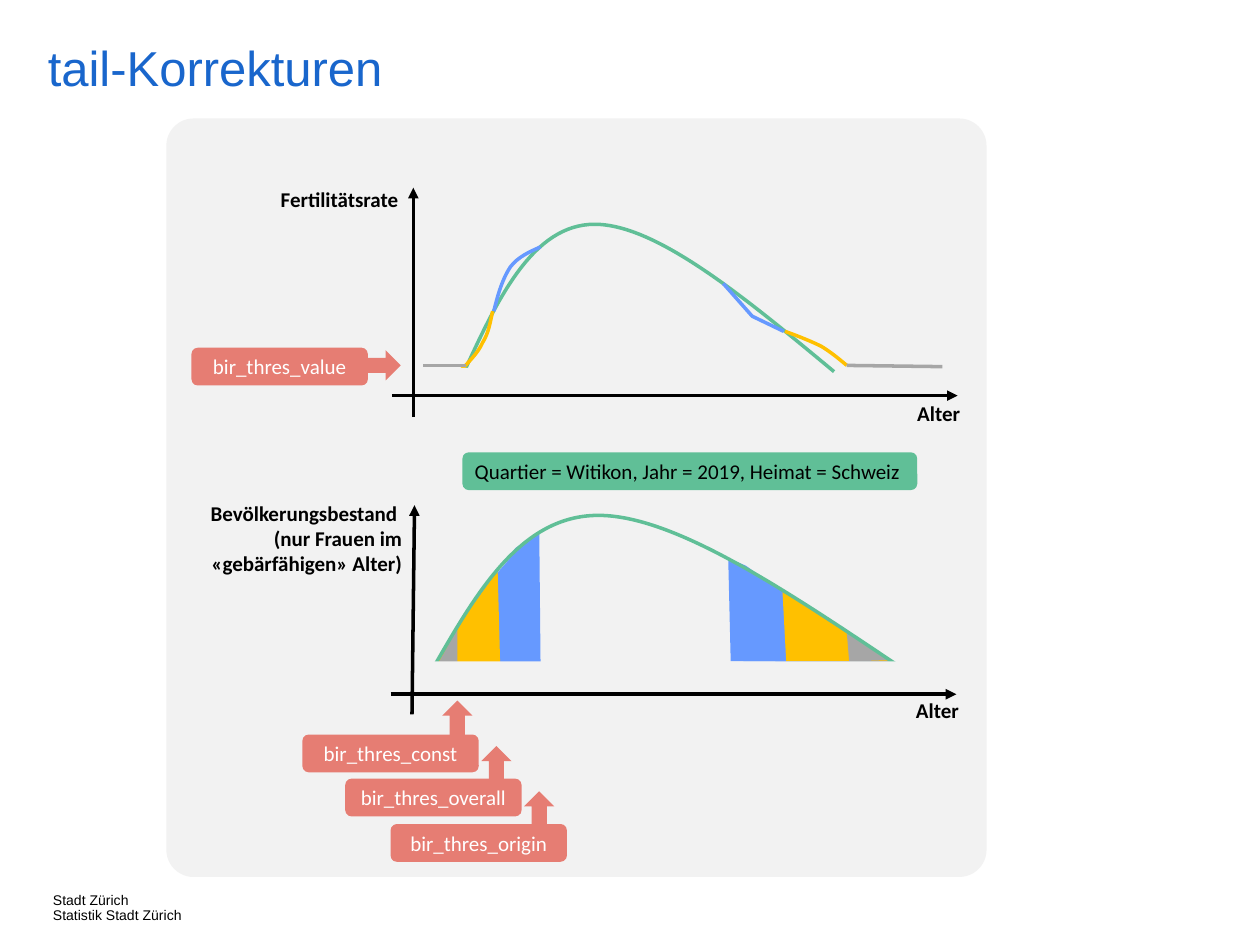
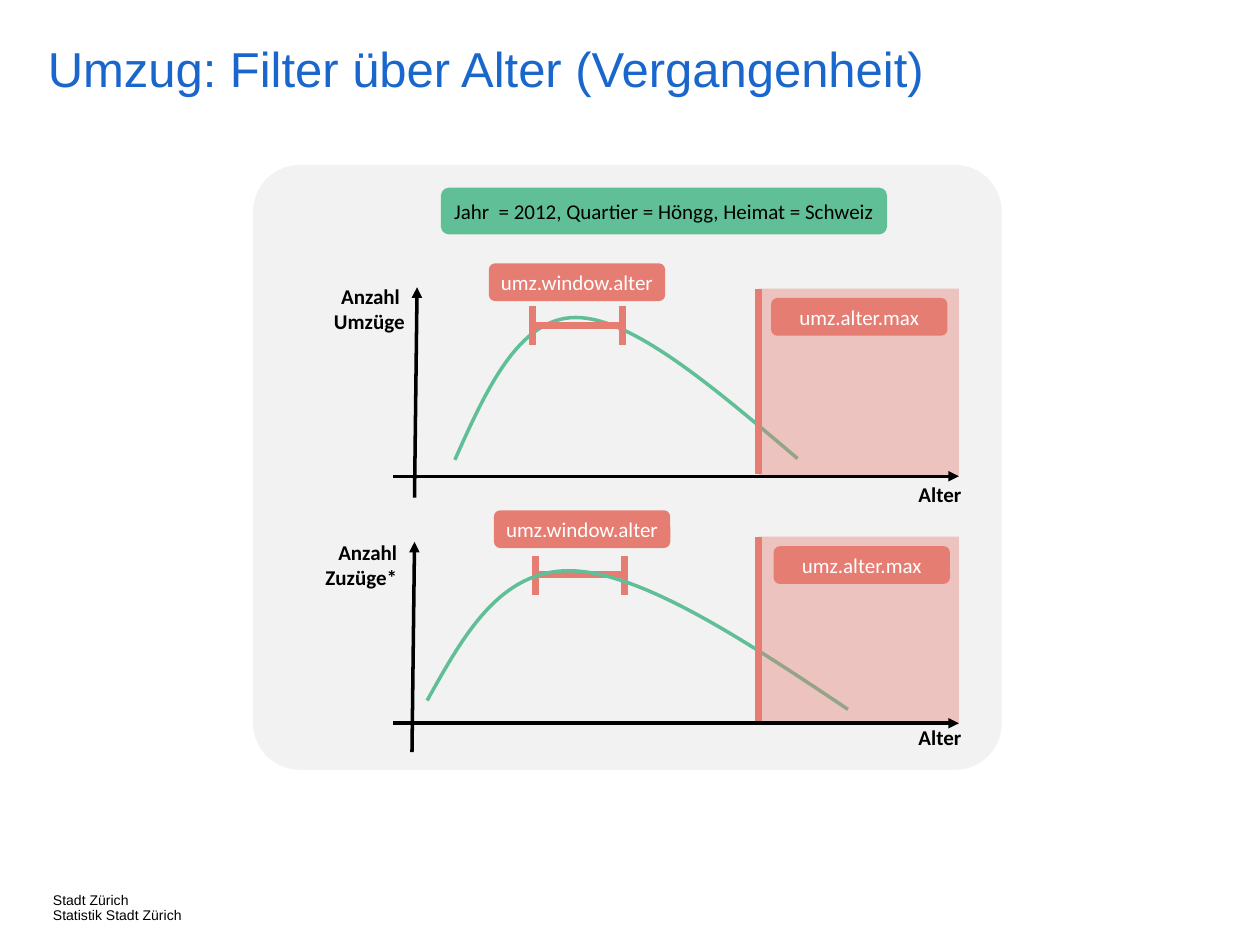
"""Two slides on age curves: tail corrections and the age filter for moves."""
from dataclasses import dataclass

from lxml import etree
from pptx import Presentation
from pptx.dml.color import RGBColor
from pptx.enum.shapes import MSO_CONNECTOR, MSO_SHAPE
from pptx.enum.text import MSO_ANCHOR, PP_ALIGN
from pptx.oxml.ns import qn
from pptx.util import Inches, Pt

ROUNDED = MSO_SHAPE.ROUNDED_RECTANGLE
RECTANGLE = MSO_SHAPE.RECTANGLE
UP_ARROW = MSO_SHAPE.UP_ARROW
RIGHT_ARROW = MSO_SHAPE.RIGHT_ARROW
STRAIGHT = MSO_CONNECTOR.STRAIGHT
LEFT, CENTER, RIGHT = PP_ALIGN.LEFT, PP_ALIGN.CENTER, PP_ALIGN.RIGHT
MIDDLE = MSO_ANCHOR.MIDDLE

COLORS = {
    "title": "1966CC", "black": "000000", "white": "FFFFFF", "panel": "F2F2F2",
    "green": "60BF97", "red": "E67D73", "blue": "6699FF", "yellow": "FFC000",
    "gray": "A6A6A6",
}
TITLE_FONT, LABEL_FONT = "Arial", "Calibri"
WIDTH, HEIGHT = Inches(10), Inches(7.5)
COLUMNS, ROWS = 100, 75  # every position below is in (column, row)
TAG_SIZE = (14, 3)
THIN, THICK = 2, 4

Point = tuple[float, float]
Box = tuple[float, float, float, float]


@dataclass
class Style:
    """Look of a text."""
    size: float = 12
    color: str = "black"
    font: str = LABEL_FONT
    bold: bool = False
    align: PP_ALIGN = CENTER
    spacing: float = 1.0


@dataclass
class Axes:
    """A pair of axes with their names."""
    bottom: Point
    top: Point
    left: float
    right: float
    row: float
    name: str
    name_box: Box
    age_box: Box


@dataclass
class Tag:
    """A parameter name and, where wanted, the arrow beside it."""
    text: str
    corner: Point
    arrow: Box | None = None
    arrow_kind: MSO_SHAPE = UP_ARROW


@dataclass
class Outline:
    """A filled area or a stroked path through points."""
    color: str
    points: list[Point]


TITLE = Style(28, "title", TITLE_FONT, align=LEFT, spacing=0.9)
FOOTER = Style(8, font=TITLE_FONT, align=LEFT, spacing=0.9)
AXIS_NAME = Style(bold=True, align=RIGHT)
AGE_NAME = Style(bold=True)
TAG_TEXT = Style(color="white")


def column(value: float) -> int:
    """Turn columns into a length."""
    return round(value * WIDTH / COLUMNS)


def row(value: float) -> int:
    """Turn rows into a length."""
    return round(value * HEIGHT / ROWS)


def place(box: Box) -> tuple[int, int, int, int]:
    """Turn a grid box into left, top, width and height."""
    return column(box[0]), row(box[1]), column(box[2]), row(box[3])


def rgb(name: str) -> RGBColor:
    """Look up a colour."""
    return RGBColor.from_string(COLORS[name])


def write(frame, paragraphs: list[str], style: Style) -> None:
    """Fill a text frame; a newline becomes a line break."""
    for index, text in enumerate(paragraphs):
        paragraph = frame.paragraphs[0] if index == 0 else frame.add_paragraph()
        paragraph.alignment = style.align
        paragraph.line_spacing = style.spacing
        for number, part in enumerate(text.split("\n")):
            if number:
                paragraph.add_line_break()
            run = paragraph.add_run()
            run.text = part
            run.font.size = Pt(style.size)
            run.font.name = style.font
            run.font.bold = style.bold
            run.font.color.rgb = rgb(style.color)


def clear_margins(frame) -> None:
    """Take away the insets of a text frame."""
    frame.margin_left = frame.margin_right = 0
    frame.margin_top = frame.margin_bottom = 0


def add_text(slide, box: Box, paragraphs: list[str], style: Style,
             inset: bool = True, wrap: bool = True) -> None:
    """Add a text box."""
    frame = slide.shapes.add_textbox(*place(box)).text_frame
    frame.word_wrap = wrap
    if not inset:
        clear_margins(frame)
    write(frame, paragraphs, style)


def add_block(slide, kind: MSO_SHAPE, box: Box, color: str,
              opacity: int = 100, rounding: float | None = None):
    """Add a plain filled preset shape."""
    shape = slide.shapes.add_shape(kind, *place(box))
    shape.shadow.inherit = False
    shape.fill.solid()
    shape.fill.fore_color.rgb = rgb(color)
    shape.line.fill.background()
    if rounding is not None:
        shape.adjustments[0] = rounding
    if opacity < 100:
        solid = next(shape._element.spPr.iter(qn("a:srgbClr")))
        etree.SubElement(solid, qn("a:alpha")).set("val", str(opacity * 1000))
    return shape


def add_label(slide, box: Box, text: str, color: str, style: Style) -> None:
    """Add a rounded block with centred text."""
    frame = add_block(slide, ROUNDED, box, color).text_frame
    frame.word_wrap = False
    frame.vertical_anchor = MIDDLE
    clear_margins(frame)
    write(frame, [text], style)


def add_tag(slide, tag: Tag) -> None:
    """Add a parameter tag and its arrow."""
    add_label(slide, (*tag.corner, *TAG_SIZE), tag.text, "red", TAG_TEXT)
    if tag.arrow:
        add_block(slide, tag.arrow_kind, tag.arrow, "red")


def add_line(slide, start: Point, end: Point, color: str = "black",
             weight: float = THIN, arrow: bool = False) -> None:
    """Add a straight line, with an arrowhead at its end if wanted."""
    line = slide.shapes.add_connector(
        STRAIGHT, column(start[0]), row(start[1]), column(end[0]), row(end[1]))
    line.line.color.rgb = rgb(color)
    line.line.width = Pt(weight)
    if arrow:
        head = etree.SubElement(line.line._get_or_add_ln(), qn("a:tailEnd"))
        head.set("type", "triangle")
    etree.SubElement(line._element.spPr, qn("a:effectLst"))


def add_outline(slide, outline: Outline, closed: bool):
    """Add a freeform through the points of an outline."""
    points = [(column(x), row(y)) for x, y in outline.points]
    builder = slide.shapes.build_freeform(*points[0])
    builder.add_line_segments(points[1:], close=closed)
    shape = builder.convert_to_shape()
    shape.shadow.inherit = False
    if closed:
        shape.fill.solid()
        shape.fill.fore_color.rgb = rgb(outline.color)
        shape.line.fill.background()
    else:
        shape.fill.background()
        shape.line.color.rgb = rgb(outline.color)
        shape.line.width = Pt(THIN)
    return shape


def add_curve(slide, outline: Outline) -> None:
    """Add a stroked Bezier path: a start, then three points per bend."""
    shape = add_outline(slide, outline, closed=False)
    steps = list(shape._element.iter(qn("a:lnTo")))
    for first in range(0, len(steps), 3):
        bend = etree.Element(qn("a:cubicBezTo"))
        steps[first].addprevious(bend)
        for step in steps[first:first + 3]:
            bend.append(step[0])
            step.getparent().remove(step)


def add_axes(slide, axes: Axes) -> None:
    """Add both axes and their names."""
    add_line(slide, axes.bottom, axes.top, arrow=True)
    add_line(slide, (axes.left, axes.row), (axes.right, axes.row), arrow=True)
    add_text(slide, axes.name_box, [axes.name], AXIS_NAME)
    add_text(slide, axes.age_box, ["Alter"], AGE_NAME)


def add_window(slide, left: float, middle: float) -> None:
    """Add the age window: a bar between two end marks."""
    right = left + 7.1
    add_line(slide, (left, middle), (right, middle), "red", THICK)
    for end in (left, right):
        add_line(slide, (end, middle - 1.5), (end, middle + 1.6), "red", THICK)


def add_zone(slide, top: float, tag_left: float) -> None:
    """Add the shaded zone above the highest age."""
    add_line(slide, (60.2, top), (60.2, top + 14.7), "red", THICK)
    add_block(slide, RECTANGLE, (60.2, top, 15.9, 14.9), "red", opacity=40)
    add_tag(slide, Tag("umz.alter.max", (tag_left, top + 0.75)))


def start_slide(presentation, title: str, title_top: float):
    """Add a blank slide with footer and title."""
    slide = presentation.slides.add_slide(presentation.slide_layouts[6])
    add_text(slide, (4.2, 70.9, 13.1, 2), ["Stadt Zürich", "Statistik Stadt Zürich"],
             FOOTER, inset=False, wrap=False)
    add_text(slide, (3.8, title_top, 84, 6.4), [title], TITLE, inset=False)
    return slide


def build_tail_slide(presentation) -> None:
    """Draw the corrections at both ends of the fertility curve."""
    slide = start_slide(presentation, "tail-Korrekturen", 3.5)
    add_block(slide, ROUNDED, (13.2, 9.4, 65.1, 60.2), "panel", rounding=0.036)
    add_axes(slide, Axes((32.8, 33.1), (32.8, 14.9), 31.1, 76, 31.4, "Fertilitätsrate",
                         (20.2, 14.3, 12.4, 3), (68.3, 31.3, 12.4, 3)))
    add_axes(slide, Axes((32.7, 56.7), (32.9, 40.1), 31, 75.9, 55.1,
                         "Bevölkerungsbestand \n(nur Frauen im «gebärfähigen» Alter)",
                         (14.4, 39.2, 18.5, 7.1), (68.2, 54.9, 12.4, 3)))
    for area in (
        Outline("blue", [(71.1, 52.6), (63.8, 47.8), (60.6, 45.9), (59.2, 44.9),
                         (57.8, 44.3), (58, 52.5)]),
        Outline("blue", [(34.7, 52.8), (36, 50.4), (37.7, 47.5), (40.4, 44.4),
                         (40.9, 43.5), (42.8, 42.3), (42.9, 52.8)]),
        Outline("yellow", [(34.6, 52.8), (36.9, 48.9), (39.5, 45.3), (39.7, 52.8)]),
        Outline("yellow", [(70.9, 52.5), (67.5, 50.4), (64.1, 48), (62.1, 46.9),
                           (62.4, 52.5)]),
        Outline("gray", [(34.7, 52.8), (36.3, 49.9), (36.3, 52.8)]),
        Outline("gray", [(70.6, 52.4), (67.2, 50.1), (67.4, 52.5)]),
    ):
        add_outline(slide, area, closed=True)
    for curve in (
        Outline("green", [(34.5, 52.8), (37.9, 46.9), (41.4, 40.9), (47.5, 40.9),
                          (53.5, 40.9), (62.3, 46.8), (71.1, 52.7)]),
        Outline("green", [(36.8, 29.6), (39.5, 23.7), (42.3, 17.8), (47.2, 17.8),
                          (52.1, 17.8), (59.1, 23.6), (66.2, 29.5)]),
        Outline("blue", [(42.9, 19.6), (42, 20), (41.1, 20.4), (40.5, 21.2),
                         (39.9, 22.1), (39.5, 23.4), (39.2, 24.7)]),
        Outline("yellow", [(62.3, 26.3), (63.4, 26.7), (64.4, 27.1), (65.2, 27.5),
                           (66, 28), (66.6, 28.5), (67.2, 29)]),
        Outline("yellow", [(39.1, 24.7), (38.9, 25.6), (38.8, 26.4), (38.3, 27.2),
                           (37.9, 28.1), (37.1, 28.8), (36.4, 29.6)]),
    ):
        add_curve(slide, curve)
    add_outline(slide, Outline("blue", [(57.4, 22.5), (59.7, 25.1), (62.2, 26.3)]), False)
    add_line(slide, (67.2, 29), (74.8, 29.1), "gray")
    add_line(slide, (33.6, 29), (37, 29), "gray")
    # Trim the feet of the curves to level ends.
    add_block(slide, RECTANGLE, (33.9, 52.5, 37.8, 1.4), "panel")
    add_block(slide, RECTANGLE, (36, 29.2, 3.5, 1.4), "panel")
    for tag in (
        Tag("bir_thres_value", (15.2, 27.6), (29, 27.8, 2.8, 2.4), RIGHT_ARROW),
        Tag("bir_thres_const", (24, 58.3), (35.1, 55.6, 2.4, 2.8)),
        Tag("bir_thres_overall", (27.4, 61.8), (38.2, 59.2, 2.4, 2.8)),
        Tag("bir_thres_origin", (31, 65.4), (41.6, 62.8, 2.4, 2.8)),
    ):
        add_tag(slide, tag)
    add_label(slide, (36.7, 35.9, 36.1, 3),
              "Quartier = Witikon, Jahr = 2019, Heimat = Schweiz ", "green", Style())


def build_move_slide(presentation) -> None:
    """Draw the age filters on moves and arrivals."""
    slide = start_slide(presentation, "Umzug: Filter über Alter (Vergangenheit)", 3.6)
    add_block(slide, ROUNDED, (20.1, 13.1, 59.4, 48), "panel", rounding=0.077)
    add_label(slide, (35, 14.9, 35.4, 3.7),
              "Jahr  = 2012, Quartier = Höngg, Heimat = Schweiz", "green", Style())
    add_curve(slide, Outline("green", [(36.1, 36.5), (38.6, 30.9), (41.2, 25.2), (45.7, 25.2),
                                       (50.2, 25.2), (56.7, 30.8), (63.3, 36.4)]))
    add_window(slide, 42.3, 25.8)
    add_window(slide, 42.5, 45.6)
    add_curve(slide, Outline("green", [(33.9, 55.6), (36.8, 50.4), (39.7, 45.2), (45.3, 45.3),
                                       (50.9, 45.4), (59.1, 50.8), (67.3, 56.3)]))
    for corner in ((38.8, 20.9), (39.2, 40.5)):
        add_tag(slide, Tag("umz.window.alter", corner))
    add_zone(slide, 22.9, 61.2)
    add_zone(slide, 42.6, 61.4)
    add_axes(slide, Axes((32.9, 39.5), (33.1, 22.8), 31.2, 76.1, 37.8, "Anzahl \nUmzüge",
                         (20.7, 22, 12.4, 5), (68.4, 37.7, 12.4, 3)))
    add_axes(slide, Axes((32.7, 59.7), (32.9, 43), 31.2, 76.1, 57.4, "Anzahl Zuzüge*",
                         (20.1, 42.3, 12.4, 5), (68.4, 57, 12.4, 3)))


def main() -> None:
    """Build and save the presentation."""
    presentation = Presentation()
    presentation.slide_width, presentation.slide_height = WIDTH, HEIGHT
    build_tail_slide(presentation)
    build_move_slide(presentation)
    presentation.save("out.pptx")


main()
